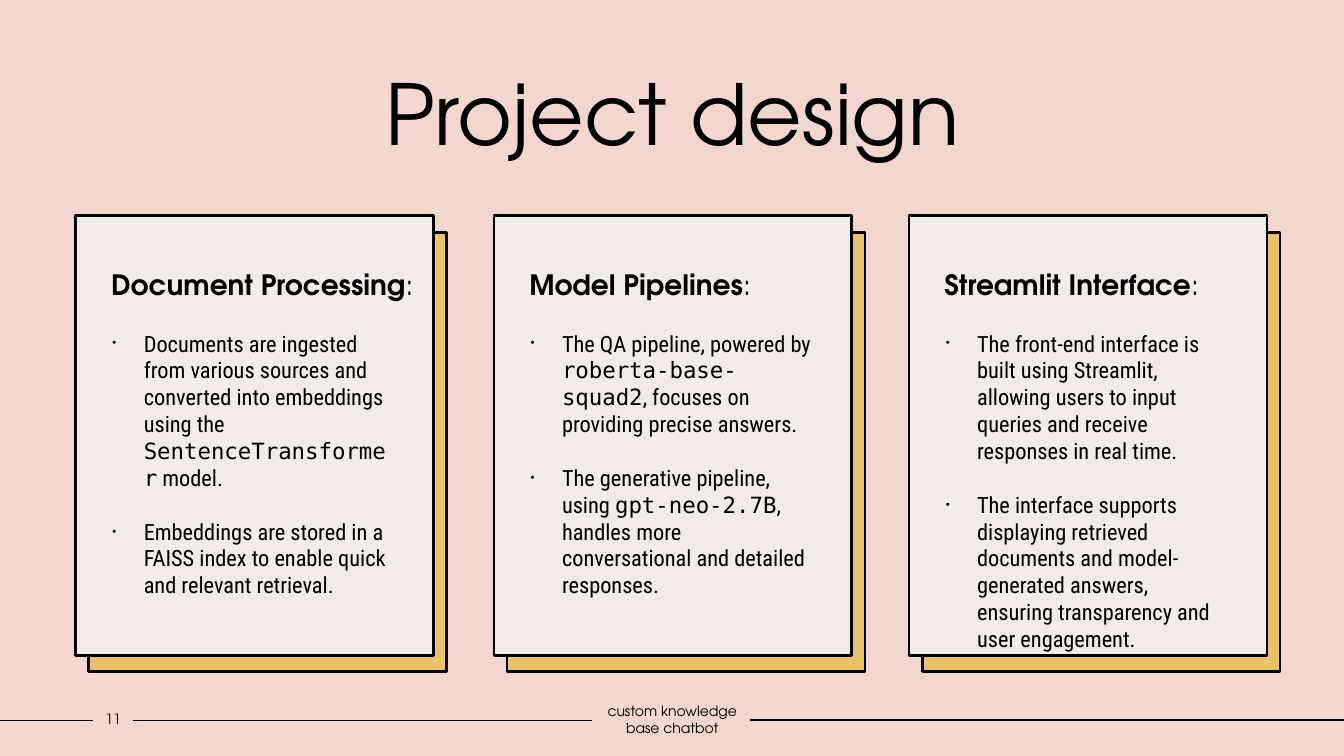
"""Build the "Project design" slide with three cards and a footer rule."""
from lxml.etree import SubElement
from pptx import Presentation
from pptx.dml.color import RGBColor
from pptx.enum.shapes import MSO_CONNECTOR as Connector, MSO_SHAPE as Shape
from pptx.enum.text import MSO_ANCHOR as Anchor, MSO_AUTO_SIZE as AutoSize, PP_ALIGN as Align
from pptx.oxml.ns import qn
from pptx.util import Cm, Pt

COLORS = {"background": "F3D6CD", "shadow": "E9C369", "card": "F3EBE8", "ink": "000000"}
DISPLAY, BODY, MONO = "TeX Gyre Adventor", "Roboto Condensed", "DejaVu Sans Mono"
CARD_WIDTH, CARD_HEIGHT, CARD_TOP = Cm(9.02), Cm(11.07), Cm(5.44)

# Within each bullet, every second segment is set in the monospaced font.
CARDS = [
    (1.91, "Document Processing", [
        ["Documents are ingested from various sources and converted into embeddings using the ",
         "SentenceTransformer", " model."],
        ["Embeddings are stored in a FAISS index to enable quick and relevant retrieval."],
    ]),
    (12.45, "Model Pipelines", [
        ["The QA pipeline, powered by ", "roberta-base-squad2",
         ", focuses on providing precise answers."],
        ["The generative pipeline, using ", "gpt-neo-2.7B",
         ", handles more conversational and detailed responses."],
    ]),
    (22.91, "Streamlit Interface", [
        ["The front-end interface is built using Streamlit, allowing users to input queries "
         "and receive responses in real time."],
        ["The interface supports displaying retrieved documents and model-generated answers, "
         "ensuring transparency and user engagement."],
    ]),
]


def add_run(paragraph, text, size, font, bold=False):
    run = paragraph.add_run()
    run.text = text
    run.font.size, run.font.name, run.font.bold = Pt(size), font, bold
    run.font.color.rgb = RGBColor.from_string(COLORS["ink"])


def add_panel(left, top, color):
    panel = slide.shapes.add_shape(Shape.RECTANGLE, left, top, CARD_WIDTH, CARD_HEIGHT)
    panel.shadow.inherit = False
    panel.fill.solid()
    panel.fill.fore_color.rgb = RGBColor.from_string(COLORS[color])
    panel.line.color.rgb = RGBColor.from_string(COLORS["ink"])
    panel.line.width = Pt(2)
    return panel


presentation = Presentation()
presentation.slide_width, presentation.slide_height = Cm(33.87), Cm(19.05)
slide = presentation.slides.add_slide(presentation.slide_layouts.get_by_name("Comparison"))
slide.background.fill.solid()
slide.background.fill.fore_color.rgb = RGBColor.from_string(COLORS["background"])

for start, end, y in [(0, 2.34, 18.16), (3.35, 14.91, 18.16), (18.9, 33.87, 18.14)]:
    rule = slide.shapes.add_connector(Connector.STRAIGHT, Cm(start), Cm(y), Cm(end), Cm(y))
    rule.line.color.rgb = RGBColor.from_string(COLORS["ink"])
    rule.line.width = Pt(1)
    SubElement(rule.element.spPr, qn("a:effectLst"))

title = slide.shapes.title
title.left, title.top, title.width, title.height = Cm(3.18), Cm(1.42), Cm(27.53), Cm(2.82)
title.text_frame.auto_size = AutoSize.NONE
title.text_frame.vertical_anchor = Anchor.MIDDLE
title.text_frame.paragraphs[0].alignment = Align.CENTER
add_run(title.text_frame.paragraphs[0], "Project design", 60, DISPLAY)

*bullet_lists, spare = [shape for shape in slide.placeholders if shape != title]
spare.element.getparent().remove(spare.element)

for (left, heading, bullets), bullet_list in zip(CARDS, bullet_lists):
    add_panel(Cm(left + 0.33), CARD_TOP + Cm(0.41), "shadow")
    card = add_panel(Cm(left), CARD_TOP, "card")
    frame = card.text_frame
    frame.word_wrap, frame.vertical_anchor = True, Anchor.TOP
    frame.margin_left, frame.margin_top = Cm(0.89), Cm(1.4)
    frame.margin_right, frame.margin_bottom = Cm(0.25), Cm(0.13)
    frame.paragraphs[0].alignment = Align.LEFT
    frame.paragraphs[0].line_spacing = 0.9
    add_run(frame.paragraphs[0], heading, 20, DISPLAY, bold=True)
    add_run(frame.paragraphs[0], ":", 20, DISPLAY)

    card.element.addnext(bullet_list.element)
    bullet_list.left, bullet_list.top = Cm(left + 0.67), Cm(8.18)
    bullet_list.width, bullet_list.height = Cm(7.62), Cm(7.75)
    frame = bullet_list.text_frame
    frame.auto_size, frame.vertical_anchor = AutoSize.NONE, Anchor.TOP
    for number, segments in enumerate(bullets):
        paragraph = frame.add_paragraph() if number else frame.paragraphs[0]
        paragraph.space_before = Pt(19.2 * number)
        properties = paragraph._p.get_or_add_pPr()
        properties.set("marL", str(Cm(0.79)))
        properties.set("indent", str(-Cm(0.79)))
        SubElement(properties, qn("a:buSzPct"), val="50000")
        SubElement(properties, qn("a:buFont"), typeface="Arial")
        SubElement(properties, qn("a:buChar"), char="•")
        for position, text in enumerate(segments):
            add_run(paragraph, text, 16, MONO if position % 2 else BODY)

for left, width, text in [(2.34, 1.02, "11"), (14.91, 4.06, "custom knowledge base chatbot")]:
    footer = slide.shapes.add_textbox(Cm(left), Cm(17.78), Cm(width), Cm(0.69))
    frame = footer.text_frame
    frame.word_wrap, frame.vertical_anchor = True, Anchor.MIDDLE
    frame.margin_left = frame.margin_right = 0
    frame.paragraphs[0].alignment = Align.CENTER
    add_run(frame.paragraphs[0], text, 10, DISPLAY)

presentation.save("out.pptx")
